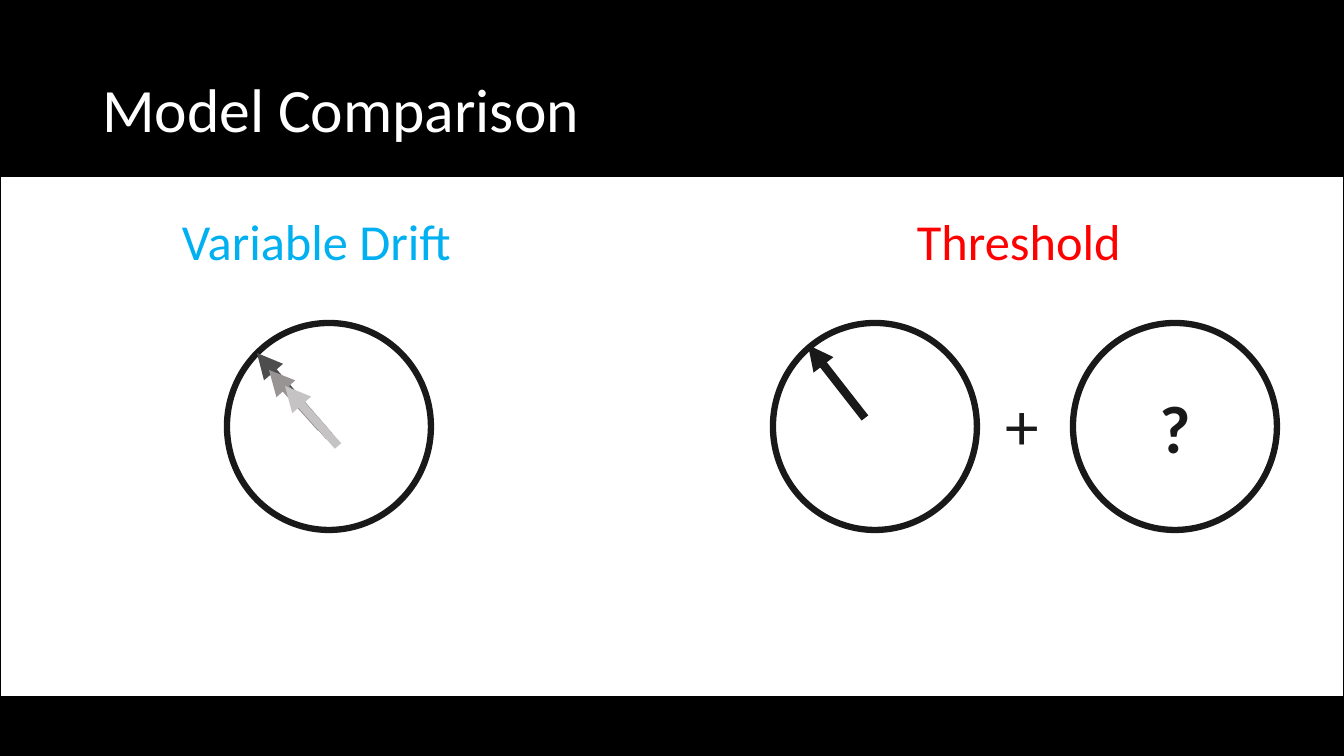
"""Build the Model Comparison slide: variable drift against threshold."""
from pptx import Presentation
from pptx import util as u
from pptx.dml.color import RGBColor
from pptx.enum import shapes, text
from pptx.oxml.ns import qn
from lxml import etree

PX = 12192000 / 1344
BLACK = RGBColor(0x00, 0x00, 0x00)
WHITE = RGBColor(0xFF, 0xFF, 0xFF)
INK = RGBColor(0x19, 0x19, 0x19)
DARK_GREY = RGBColor(0x4D, 0x4D, 0x4D)
MID_GREY = RGBColor(0x98, 0x94, 0x94)
LIGHT_GREY = RGBColor(0xC5, 0xC3, 0xC3)
BLUE = RGBColor(0x00, 0xB0, 0xF0)
RED = RGBColor(0xFF, 0x00, 0x00)


def px(*lengths):
    return [u.Emu(round(length * PX)) for length in lengths]


def write(frame, wording, size, color, align=text.PP_ALIGN.LEFT, bold=False):
    para = frame.paragraphs[0]
    para.alignment = align
    span = para.add_run()
    span.text = wording
    span.font.color.rgb = color
    for name, value in {"name": "Calibri", "size": u.Pt(size), "bold": bold}.items():
        setattr(span.font, name, value)
    return para


deck = Presentation()
deck.slide_width, deck.slide_height = px(1344, 756)
page = deck.slides.add_slide(deck.slide_layouts[5])
page.background.fill.solid()
page.background.fill.fore_color.rgb = BLACK

outlines = [
    (shapes.MSO_SHAPE.RECTANGLE, (0, 176, 1344, 521), BLACK, 1, ""),
    (shapes.MSO_SHAPE.OVAL, (227, 323, 204, 207), INK, 4.5, ""),
    (shapes.MSO_SHAPE.OVAL, (773, 323, 204, 207), INK, 4.5, ""),
    (shapes.MSO_SHAPE.OVAL, (1073, 323, 204, 207), INK, 4.5, "?"),
]
for preset, place, color, width, wording in outlines:
    outline = page.shapes.add_shape(preset, *px(*place))
    outline.shadow.inherit = False
    outline.fill.solid()
    outline.fill.fore_color.rgb = WHITE
    outline.line.color.rgb = color
    outline.line.width = u.Pt(width)
    if wording:
        outline.text_frame.vertical_anchor = text.MSO_ANCHOR.MIDDLE
        write(outline.text_frame, wording, 48, INK, text.PP_ALIGN.CENTER, True)

title = page.shapes.title
title_place = dict(zip(("left", "top", "width", "height"), px(92, 40, 1159, 146)))
for name, value in title_place.items():
    setattr(title, name, value)
title_format = {
    "vertical_anchor": text.MSO_ANCHOR.MIDDLE,
    "auto_size": text.MSO_AUTO_SIZE.NONE,
    "word_wrap": True,
}
for name, value in title_format.items():
    setattr(title.text_frame, name, value)
write(title.text_frame, "Model Comparison", 44, WHITE).line_spacing = 0.9

labels = [
    ("Variable Drift", (172, 205, 292, 72), 36, BLUE),
    ("Threshold", (907, 205, 226, 72), 36, RED),
    ("+", (996, 378, 54, 92), 48, INK),
]
for wording, place, size, color in labels:
    box = page.shapes.add_textbox(*px(*place))
    box.text_frame.word_wrap = False
    box.text_frame.auto_size = text.MSO_AUTO_SIZE.SHAPE_TO_FIT_TEXT
    write(box.text_frame, wording, size, color)

arrows = [
    ((865, 418, 808, 345), INK),
    ((329, 436, 257, 353), DARK_GREY),
    ((321, 428, 269, 370), MID_GREY),
    ((338, 446, 285, 386), LIGHT_GREY),
]
for ends, color in arrows:
    arrow = page.shapes.add_connector(shapes.MSO_CONNECTOR.STRAIGHT, *px(*ends))
    arrow.line.color.rgb = color
    arrow.line.width = u.Pt(6)
    etree.SubElement(arrow.line._get_or_add_ln(), qn("a:tailEnd"), type="triangle")
    etree.SubElement(arrow._element.spPr, qn("a:effectLst"))

deck.save("out.pptx")
